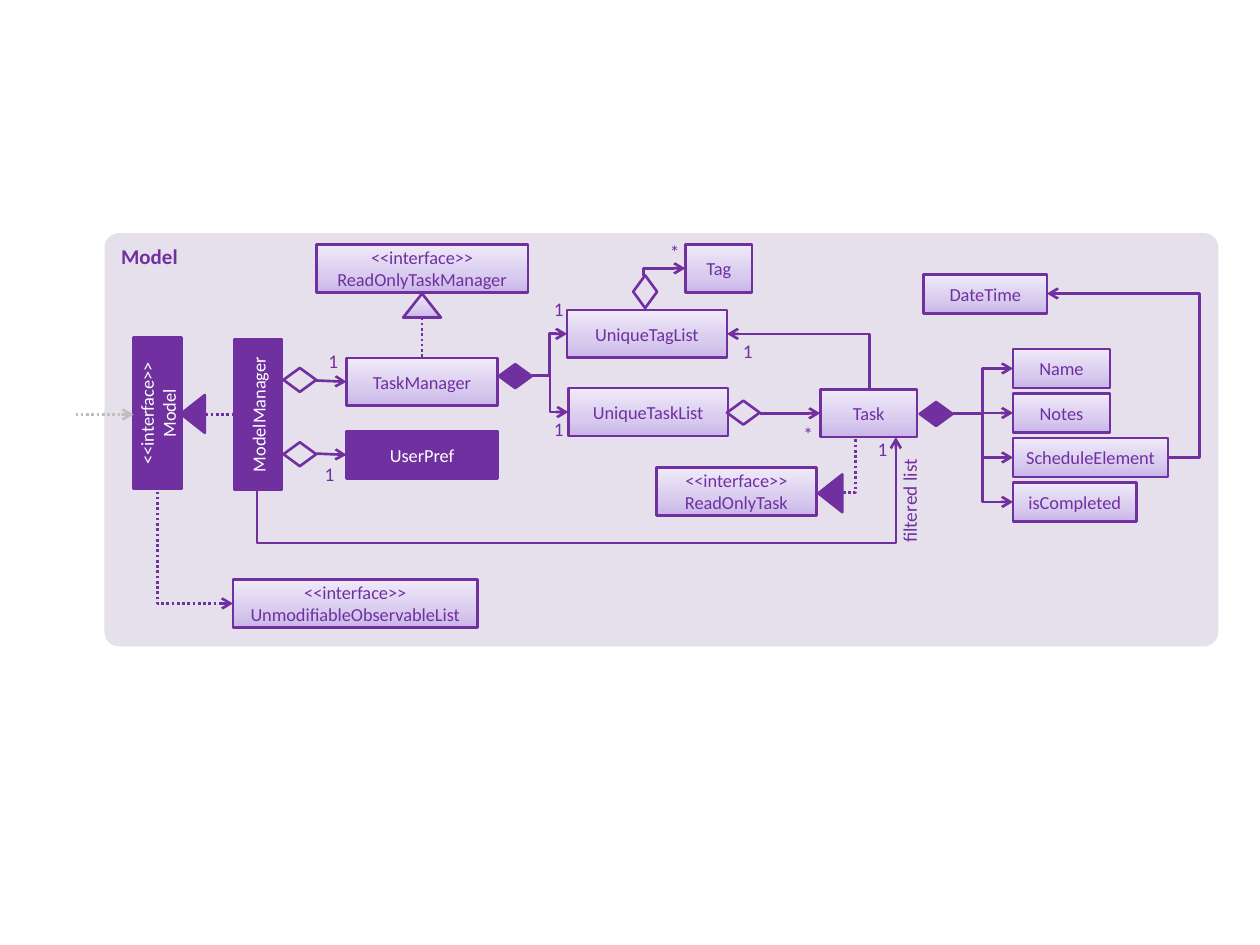
"""Build the class diagram slide of the Model component."""
from copy import deepcopy

from lxml.etree import SubElement
from pptx import Presentation
from pptx.dml.color import RGBColor
from pptx.enum.dml import MSO_LINE
from pptx.enum.shapes import MSO_CONNECTOR, MSO_SHAPE
from pptx.enum.text import MSO_ANCHOR, PP_ALIGN
from pptx.oxml.ns import qn
from pptx.util import Inches, Pt

PURPLE, WHITE, GREY, PANEL = "7030A0", "FFFFFF", "BFBFBF", "E6E0EC"
GRADIENT = [(0, "C9B5E8"), (0.35, "D8CBEE"), (1, "F0EAF9")]

presentation = Presentation()
presentation.slide_width, presentation.slide_height = Inches(10), Inches(7.5)
column = presentation.slide_width / 100
row = presentation.slide_height / 75
slide = presentation.slides.add_slide(presentation.slide_layouts[6])


def add_block(kind, box, fill=None, line=PURPLE, rotation=0):
    """Add a preset shape on the grid, with a plain, gradient or empty fill."""
    left, top, width, height = box
    shape = slide.shapes.add_shape(
        kind, int(left * column), int(top * row), int(width * column), int(height * row))
    shape.shadow.inherit = False
    shape.rotation = rotation
    shape.line.width = Pt(1.5)
    for target, color in ((shape.fill, fill), (shape.line.fill, line)):
        if color is None:
            target.background()
        elif color == GRADIENT:
            target.gradient()
            target.gradient_angle = 90
            stops = shape._element.spPr.find(".//" + qn("a:gsLst"))
            stops.append(deepcopy(stops[-1]))
            for stop, (position, tone) in zip(target.gradient_stops, GRADIENT):
                stop.position = position
                stop.color.rgb = RGBColor.from_string(tone)
        else:
            target.solid()
            target.fore_color.rgb = RGBColor.from_string(color)
    return shape


def write(shape, text, color=PURPLE, size=10.5, bold=False,
          align=PP_ALIGN.CENTER, anchor=MSO_ANCHOR.MIDDLE):
    """Fill a shape with text in one format."""
    frame = shape.text_frame
    frame.word_wrap = True
    frame.vertical_anchor = anchor
    frame.text = text
    for paragraph in frame.paragraphs:
        paragraph.alignment = align
        font_values = {"name": "Calibri", "size": Pt(size), "bold": bold}
        for run in paragraph.runs:
            for name, value in font_values.items():
                setattr(run.font, name, value)
            run.font.color.rgb = RGBColor.from_string(color)


panel = add_block(MSO_SHAPE.ROUNDED_RECTANGLE, (8.3, 18.5, 88.4, 32.8), PANEL, None)
panel.adjustments[0] = 0.035
write(panel, "Model", size=12, bold=True, align=PP_ALIGN.LEFT, anchor=MSO_ANCHOR.TOP)

solid_classes = [
    ("UserPref", 27.5, 34.2, 0),
    ("ModelManager", 14.5, 31, 270),
    ("<<interface>>\nModel", 6.5, 30.9, 270),
]
for name, left, top, rotation in solid_classes:
    write(add_block(MSO_SHAPE.RECTANGLE, (left, top, 12, 3.8), PURPLE, rotation=rotation),
          name, WHITE)

light_classes = [
    ("TaskManager", 27.5, 28.4, 12, 3.8),
    ("UniqueTaskList", 45.1, 30.8, 12.7, 3.8),
    ("UniqueTagList", 45, 24.6, 12.7, 3.8),
    ("Task", 65.1, 30.9, 7.7, 3.8),
    ("Tag", 54.4, 19.4, 5.3, 3.8),
    ("<<interface>>\vReadOnlyTask", 52.1, 37.1, 12.7, 3.8),
    ("<<interface>>\vReadOnlyTaskManager", 25.1, 19.4, 16.8, 3.8),
    ("<<interface>>\vUnmodifiableObservableList", 18.5, 46, 19.4, 3.8),
    ("DateTime", 73.3, 21.8, 9.8, 3.1),
]
task_parts = [("Name", 7.7), ("Notes", 7.7), ("ScheduleElement", 12.3), ("isCompleted", 9.8)]
part_tops = [27.7 + 3.53 * index for index in range(len(task_parts))]
light_classes += [(name, 80.4, top, width, 3.1)
                  for (name, width), top in zip(task_parts, part_tops)]
for name, *box in light_classes:
    write(add_block(MSO_SHAPE.RECTANGLE, box, GRADIENT), name)

straight_links = [
    ((25.1, 36), (27.5, 36.1), PURPLE, False, True),
    ((25.1, 30.2), (27.5, 30.3), PURPLE, False, True),
    ((60.3, 32.8), (65.1, 32.8), PURPLE, False, True),
    ((6, 32.9), (10.6, 32.9), GREY, True, True),
    ((16.3, 32.9), (18.6, 32.9), PURPLE, True, False),
    ((33.5, 25.2), (33.5, 28.4), PURPLE, True, False),
]
links = [("line", start, end, color, dotted, "tailEnd" if arrow else None, [])
         for start, end, color, dotted, arrow in straight_links]
links += [("bentConnector3", (75.6, 32.8), (80.4, top + 1.55), PURPLE, False, "tailEnd", [0.5])
          for top in part_tops]
links += [
    ("bentConnector3", (42.2, 29.8), (45.1, 32.7), PURPLE, False, "tailEnd", [0.5]),
    ("bentConnector3", (42.2, 29.8), (45, 26.5), PURPLE, False, "tailEnd", [0.5]),
    ("bentConnector3", (92.7, 36.3), (83.1, 23.3), PURPLE, False, "tailEnd", [-0.26]),
    ("bentConnector2", (66.9, 39.1), (67.9, 34.6), PURPLE, True, None, []),
    ("bentConnector2", (54.4, 21.3), (51.1, 21.9), PURPLE, False, "headEnd", []),
    ("bentConnector2", (18.5, 47.9), (12.5, 38.8), PURPLE, True, "headEnd", []),
    ("bentConnector2", (57.7, 26.5), (69, 30.9), PURPLE, False, "headEnd", []),
    ("bentConnector4", (20.4, 38.9), (71.1, 34.7), PURPLE, False, "tailEnd", [0, -1]),
]
for preset, start, end, color, dotted, arrow, bends in links:
    kind = MSO_CONNECTOR.STRAIGHT if preset == "line" else MSO_CONNECTOR.ELBOW
    connector = slide.shapes.add_connector(
        kind, int(start[0] * column), int(start[1] * row), int(end[0] * column), int(end[1] * row))
    connector.line.width = Pt(1.5)
    connector.line.color.rgb = RGBColor.from_string(color)
    if dotted:
        connector.line.dash_style = MSO_LINE.ROUND_DOT
    properties = connector._element.spPr
    geometry = properties.find(qn("a:prstGeom"))
    geometry.set("prst", preset)
    for number, bend in enumerate(bends, 1):
        name = "adj1" if preset == "bentConnector3" else f"adj{number}"
        SubElement(geometry.find(qn("a:avLst")), qn("a:gd"),
                   name=name, fmla=f"val {round(bend * 100000)}")
    if arrow:
        SubElement(properties.find(qn("a:ln")), qn(f"a:{arrow}"), type="arrow")
    SubElement(properties, qn("a:effectLst"))

diamonds = [
    (22.5, 35.1, None, 0), (22.5, 29.2, None, 0), (57.7, 31.8, None, 0),
    (49.9, 22.2, None, 270), (39.6, 28.9, PURPLE, 0), (73, 31.9, PURPLE, 0),
]
for left, top, fill, rotation in diamonds:
    add_block(MSO_SHAPE.FLOWCHART_DECISION, (left, top, 2.6, 1.9), fill, rotation=rotation)

triangles = [(13.8, 31.9, PURPLE, 270), (64.4, 38.2, PURPLE, 270), (32, 23.3, GRADIENT, 0)]
for left, top, fill, rotation in triangles:
    add_block(MSO_SHAPE.ISOSCELES_TRIANGLE, (left, top, 3, 1.9), fill, rotation=rotation)

multiplicities = [
    ("1", 43.3, 23.6), ("1", 43.3, 33.1), ("1", 58.3, 26.9), ("*", 52.5, 19.1),
    ("*", 63.1, 33.5), ("1", 25.4, 27.7), ("1", 25.1, 36.7), ("1", 69, 34.7),
]
for text, left, top in multiplicities:
    label = slide.shapes.add_textbox(
        int(left * column), int(top * row), int(2.1 * column), int(2 * row))
    for side in ("left", "right", "top", "bottom"):
        setattr(label.text_frame, f"margin_{side}", 0)
    write(label, text, size=11, anchor=MSO_ANCHOR.TOP)

role = slide.shapes.add_textbox(
    int(67.4 * column), int(38.8 * row), int(9.6 * column), int(2.9 * row))
role.rotation = 270
write(role, "filtered list", size=11, align=PP_ALIGN.RIGHT, anchor=MSO_ANCHOR.TOP)

presentation.save("out.pptx")
